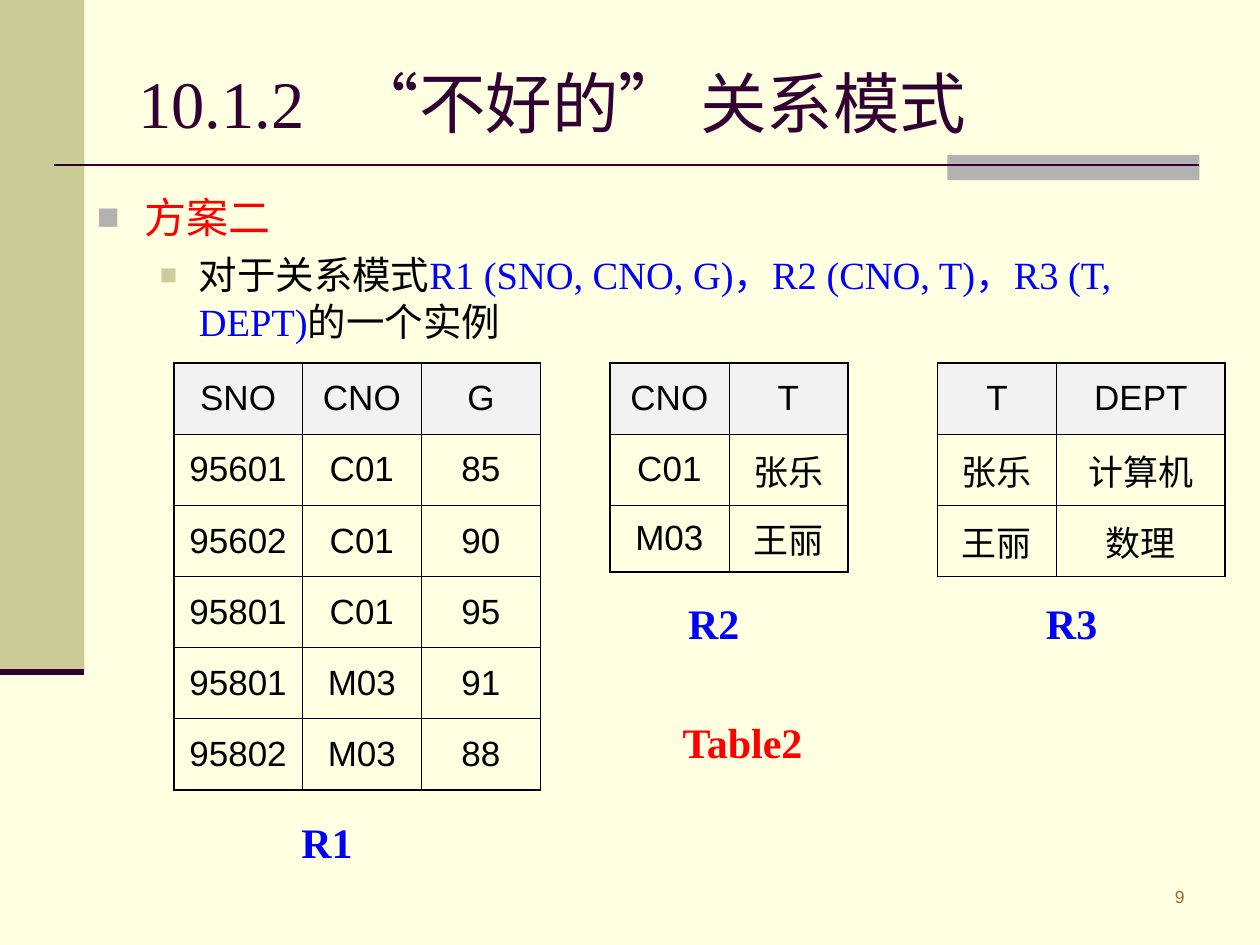
from dataclasses import dataclass

from lxml import etree
from pptx import Presentation
from pptx.dml.color import RGBColor
from pptx.enum.shapes import MSO_CONNECTOR, MSO_SHAPE
from pptx.enum.text import MSO_ANCHOR, MSO_AUTO_SIZE, PP_ALIGN
from pptx.oxml.ns import qn
from pptx.util import Inches, Pt

LEFT, CENTER, RIGHT = PP_ALIGN.LEFT, PP_ALIGN.CENTER, PP_ALIGN.RIGHT
TOP, MIDDLE = MSO_ANCHOR.TOP, MSO_ANCHOR.MIDDLE
FIXED, GROW = MSO_AUTO_SIZE.NONE, MSO_AUTO_SIZE.SHAPE_TO_FIT_TEXT
RECTANGLE, STRAIGHT = MSO_SHAPE.RECTANGLE, MSO_CONNECTOR.STRAIGHT
COLUMNS, ROWS = 100, 75


@dataclass(frozen=True)
class Theme:
    paper: str = "FFFFE1"
    olive: str = "CCCC99"
    gray: str = "B2B2B2"
    plum: str = "330033"
    brown: str = "996633"
    red: str = "FF0000"
    blue: str = "0000FF"
    black: str = "000000"
    header: str = "F2F2F2"
    serif: str = "Times New Roman"
    sans: str = "Arial"
    title: float = 38
    heading: float = 24
    body: float = 22
    cell: float = 20
    number: float = 10
    outer: float = 1.08
    inner: float = 0.45


def assign(target, values):
    for name, value in values.items():
        setattr(target, name, value)


def add_node(parent, tag, **attributes):
    node = etree.SubElement(parent, qn(tag))
    for name, value in attributes.items():
        node.set(name, str(value))
    return node


class Painter:
    def __init__(self, deck, theme):
        self.theme = theme
        self.column = deck.slide_width / COLUMNS
        self.row = deck.slide_height / ROWS
        self.page = deck.slides.add_slide(deck.slide_layouts[6])
        fill = self.page.background.fill
        fill.solid()
        fill.fore_color.rgb = RGBColor.from_string(theme.paper)

    def place(self, left, top, width, height):
        return (round(left * self.column), round(top * self.row),
                round(width * self.column), round(height * self.row))

    def block(self, area, color):
        shape = self.page.shapes.add_shape(RECTANGLE, *self.place(*area))
        shape.shadow.inherit = False
        shape.fill.solid()
        shape.fill.fore_color.rgb = RGBColor.from_string(color)
        shape.line.fill.background()

    def rule(self, left, right, height, weight):
        ends = self.place(left, height, right, height)
        line = self.page.shapes.add_connector(STRAIGHT, *ends)
        line.line.color.rgb = RGBColor.from_string(self.theme.plum)
        line.line.width = Pt(weight)
        add_node(line._element.spPr, "a:effectLst")

    def add_text(self, para, text, color, size, font=None, bold=False):
        span = para.add_run()
        span.text = text
        assign(span.font, {"size": Pt(size), "bold": bold,
                           "name": font or self.theme.serif})
        span.font.color.rgb = RGBColor.from_string(color)

    def box(self, area, align=LEFT, anchor=TOP, fit=FIXED, wrap=True):
        frame = self.page.shapes.add_textbox(*self.place(*area)).text_frame
        assign(frame, {"word_wrap": wrap, "auto_size": fit,
                       "vertical_anchor": anchor})
        frame.paragraphs[0].alignment = align
        return frame

    def label(self, area, text, color, align=CENTER, wrap=True):
        para = self.box(area, align, fit=GROW, wrap=wrap).paragraphs[0]
        self.add_text(para, text, color, self.theme.heading, bold=True)

    def tab(self, para, inches):
        stops = add_node(para._p.get_or_add_pPr(), "a:tabLst")
        add_node(stops, "a:tab", pos=Inches(inches), algn="l")

    def bullet(self, para, level, margin, hang, before, color, share):
        assign(para, {"level": level, "space_before": Pt(before)})
        format_node = para._p.get_or_add_pPr()
        format_node.set("marL", str(Inches(margin)))
        format_node.set("indent", str(-Inches(hang)))
        add_node(add_node(format_node, "a:buClr"), "a:srgbClr", val=color)
        add_node(format_node, "a:buSzPct", val=share * 1000)
        add_node(format_node, "a:buFont", typeface=self.theme.sans)
        add_node(format_node, "a:buChar", char="■")

    def border(self, cell, edges):
        format_node = cell._tc.get_or_add_tcPr()
        for side, is_outer in edges.items():
            weight = self.theme.outer if is_outer else self.theme.inner
            line = add_node(format_node, f"a:ln{side}", w=Pt(weight))
            paint = add_node(line, "a:solidFill")
            add_node(paint, "a:srgbClr", val=self.theme.black)

    def table(self, left, top, widths, heights, records):
        area = self.place(left, top, sum(widths), sum(heights))
        grid = self.page.shapes.add_table(len(heights), len(widths), *area).table
        assign(grid, {"first_row": False, "horz_banding": False})
        for column, width in zip(grid.columns, widths):
            column.width = round(width * self.column)
        for row, height in zip(grid.rows, heights):
            row.height = round(height * self.row)
        for r, record in enumerate(records):
            for c, text in enumerate(record):
                cell = grid.cell(r, c)
                assign(cell, {"vertical_anchor": MIDDLE,
                              "margin_left": Inches(0.06),
                              "margin_right": Inches(0.06)})
                para = cell.text_frame.paragraphs[0]
                para.alignment = CENTER
                self.add_text(para, text, self.theme.black, self.theme.cell,
                              self.theme.sans)
                self.border(cell, {"L": c == 0, "R": c == len(widths) - 1,
                                   "T": r == 0, "B": r == len(heights) - 1})
                if r == 0:
                    cell.fill.solid()
                    cell.fill.fore_color.rgb = RGBColor.from_string(self.theme.header)
                else:
                    cell.fill.background()


deck = Presentation()
assign(deck, {"slide_width": Inches(10), "slide_height": Inches(7.5)})
theme = Theme()
painter = Painter(deck, theme)

painter.block((0, 0, 6.7, 53.3), theme.olive)
painter.block((75.2, 12.3, 20, 2), theme.gray)
painter.rule(4.3, 95.2, 13.1, 1.5)
painter.rule(0, 6.7, 53.3, 3.5)

number = painter.box((82.3, 69.8, 12.7, 3.5), RIGHT).paragraphs[0]
painter.add_text(number, "9", theme.brown, theme.number, theme.sans)

title = painter.box((10, 3, 85, 10.1), anchor=MIDDLE).paragraphs[0]
painter.tab(title, 1.7)
painter.add_text(title, "10.1.2\t“不好的” 关系模式", theme.plum, theme.title)

body = painter.box((6.7, 14.7, 90.5, 57.5))
heading = body.paragraphs[0]
painter.bullet(heading, 0, 0.38, 0.38, 6, theme.gray, 90)
painter.add_text(heading, "方案二", theme.red, theme.heading)
detail = body.add_paragraph()
painter.bullet(detail, 1, 0.81, 0.31, 5.5, theme.olive, 75)
for text, color in (("对于关系模式", theme.black),
                    ("R1 (SNO, CNO, G)，R2 (CNO, T)，R3 (T, DEPT)", theme.blue),
                    ("的一个实例", theme.black)):
    painter.add_text(detail, text, color, theme.body)

TABLE_TOP, ROW_HEIGHT = 28.8, 5.65
relations = (
    (13.8, (10.2, 9.45, 9.45), (ROW_HEIGHT,) * 6,
     (("SNO", "CNO", "G"), ("95601", "C01", "85"), ("95602", "C01", "90"),
      ("95801", "C01", "95"), ("95801", "M03", "91"), ("95802", "M03", "88")),
     "R1", 22.4, 64.3),
    (48.4, (9.45, 9.45), (ROW_HEIGHT, ROW_HEIGHT, 5.3),
     (("CNO", "T"), ("C01", "张乐"), ("M03", "王丽")), "R2", 53.1, 46.9),
    (74.4, (9.45, 13.4), (ROW_HEIGHT,) * 3,
     (("T", "DEPT"), ("张乐", "计算机"), ("王丽", "数理")), "R3", 81.5, 46.9),
)
for left, widths, heights, records, name, name_left, name_top in relations:
    painter.table(left, TABLE_TOP, widths, heights, records)
    painter.label((name_left, name_top, 7.1, 5), name, theme.blue)
painter.label((53.2, 56.4, 11.8, 5), "Table2", theme.red, LEFT, wrap=False)

deck.save("out.pptx")
